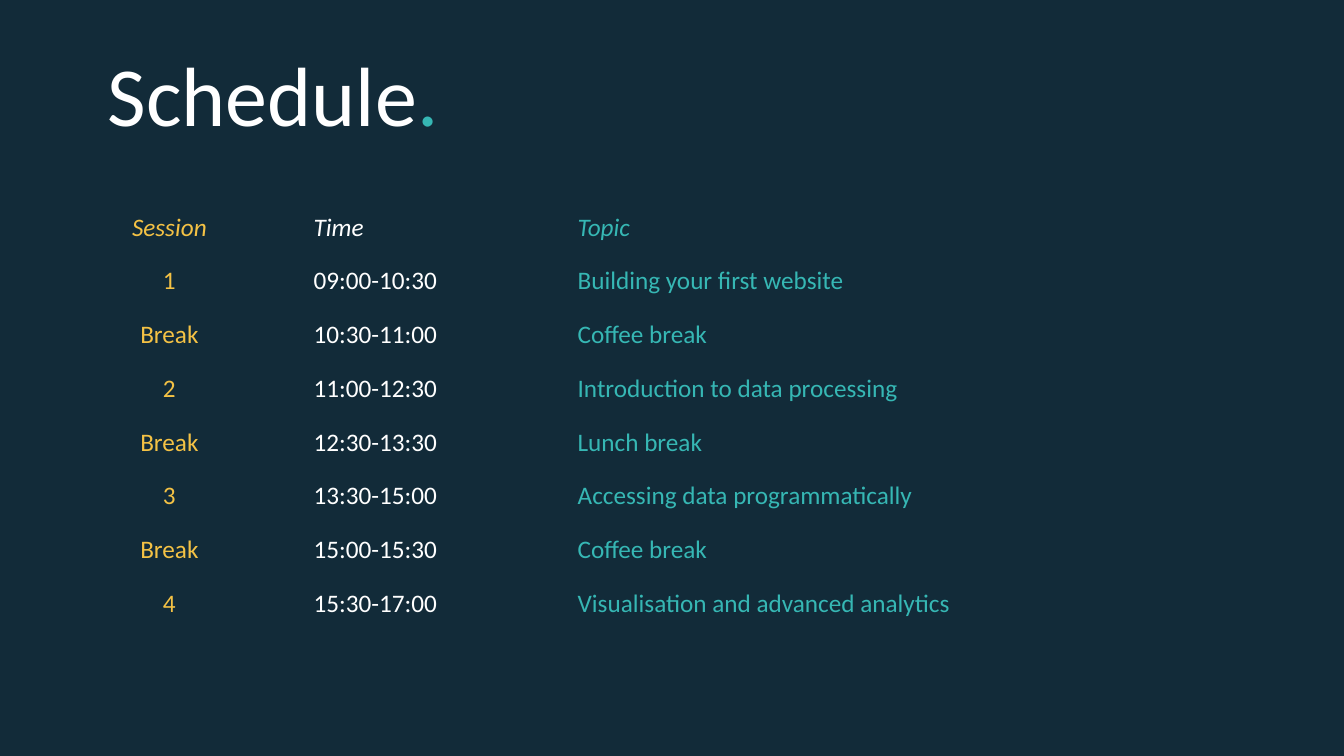
"""Build the dark workshop schedule slide."""
from dataclasses import dataclass

from pptx import Presentation
from pptx.dml.color import RGBColor as Rgb
from pptx.enum.text import MSO_ANCHOR as Anchor, PP_ALIGN as Align
from pptx.oxml.ns import qn
from pptx.util import Inches, Pt

FONT = "Calibri"
HUES = {"back": "122B39", "gold": "F4C245", "white": "FFFFFF", "teal": "36B7B4"}
PLAIN = "{2D5ABB26-0587-4C30-8999-92F81FD0307C}"
HIGH = 4.27


@dataclass
class Column:
    head: str
    width: float
    hue: str
    align: Align


COLS = [
    Column("Session", 2.76, "gold", Align.CENTER),
    Column("Time", 2.62, "white", Align.LEFT),
    Column("Topic", 3.97, "teal", Align.LEFT),
]

ROWS = [
    ("1", "09:00-10:30", "Building your first website"),
    ("Break", "10:30-11:00", "Coffee break"),
    ("2", "11:00-12:30", "Introduction to data processing"),
    ("Break", "12:30-13:30", "Lunch break"),
    ("3", "13:30-15:00", "Accessing data programmatically"),
    ("Break", "15:00-15:30", "Coffee break"),
    ("4", "15:30-17:00", "Visualisation and advanced analytics"),
]


def add_run(para, text: str, size: float, hue: str, slant: bool = False) -> None:
    run = para.add_run()
    run.text = text
    run.font.name = FONT
    run.font.size = Pt(size)
    run.font.italic = slant
    run.font.color.rgb = Rgb.from_string(HUES[hue])


def add_title(slide) -> None:
    box = slide.shapes.add_textbox(Inches(0.97), Inches(0.43), Inches(10.56), Inches(1.05))
    frame = box.text_frame
    frame.word_wrap = True
    frame.vertical_anchor = Anchor.BOTTOM
    para = frame.paragraphs[0]
    para.line_spacing = 0.9
    add_run(para, "Schedule", 60, "white")
    add_run(para, ".", 60, "teal")


def fill_cell(cell, text: str, col: Column, slant: bool) -> None:
    cell.fill.background()
    cell.vertical_anchor = Anchor.MIDDLE
    cell.margin_left = cell.margin_right = Inches(0.05)
    cell.margin_top = cell.margin_bottom = Inches(0.02)
    para = cell.text_frame.paragraphs[0]
    para.alignment = col.align
    add_run(para, text, 18, col.hue, slant)


def add_grid(slide) -> None:
    lines = [tuple(col.head for col in COLS), *ROWS]
    width = sum(col.width for col in COLS)
    table = slide.shapes.add_table(
        len(lines), len(COLS), Inches(0.3), Inches(1.99), Inches(width), Inches(HIGH)
    ).table
    table.first_row = table.horz_banding = False
    table._tbl.tblPr.find(qn("a:tableStyleId")).text = PLAIN
    for i, col in enumerate(COLS):
        table.columns[i].width = Inches(col.width)
    for r, line in enumerate(lines):
        table.rows[r].height = Inches(HIGH / len(lines))
        for c, (text, col) in enumerate(zip(line, COLS)):
            fill_cell(table.cell(r, c), text, col, r == 0)


def main() -> None:
    deck = Presentation()
    deck.slide_width, deck.slide_height = Inches(13.33), Inches(7.5)
    slide = deck.slides.add_slide(deck.slide_layouts[6])
    fill = slide.background.fill
    fill.solid()
    fill.fore_color.rgb = Rgb.from_string(HUES["back"])
    add_title(slide)
    add_grid(slide)
    deck.save("out.pptx")


if __name__ == "__main__":
    main()
